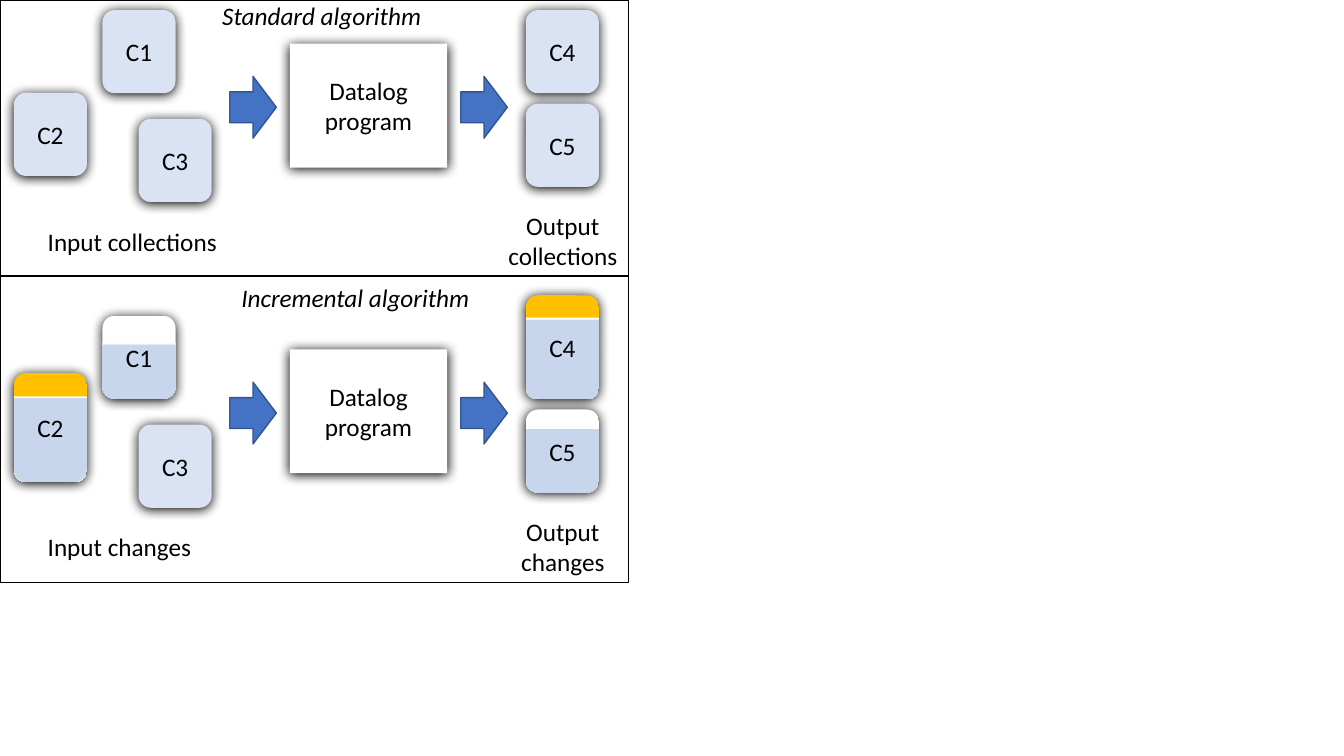
from dataclasses import dataclass

from lxml.etree import SubElement
from pptx import Presentation
from pptx.dml.color import RGBColor
from pptx.enum.shapes import MSO_CONNECTOR as Link, MSO_SHAPE as Kind
from pptx.enum.text import MSO_ANCHOR as Anchor, MSO_AUTO_SIZE as Fit, PP_ALIGN as Align
from pptx.oxml.ns import qn
from pptx.util import Inches, Pt


@dataclass(frozen=True)
class Theme:
    font: str = "Calibri"
    size: int = 18
    ink: str = "000000"
    paper: str = "FFFFFF"
    card: str = "DAE3F3"
    kept: str = "C7D5ED"
    added: str = "FFC000"
    arrow: str = "4472C4"
    edge: str = "325491"


@dataclass(frozen=True)
class Area:
    """Left, top, width and height in grid columns and rows."""
    x: float
    y: float
    w: float
    h: float


@dataclass(frozen=True)
class Card:
    name: str
    x: float
    y: float
    h: float = 9.9
    stops: tuple = ()


@dataclass(frozen=True)
class Note:
    text: str
    area: Area
    align: Align = Align.CENTER


@dataclass(frozen=True)
class Panel:
    top: float
    cards: tuple
    notes: tuple


LOOK = Theme()

# Slide and its grid of 160 columns by 90 rows
deck = Presentation()
deck.slide_width, deck.slide_height = Inches(13.33), Inches(7.5)
COL, ROW = deck.slide_width / 160, deck.slide_height / 90
slide = deck.slides.add_slide(deck.slide_layouts[5])
shapes = slide.shapes


def place(area: Area) -> tuple:
    return (round(area.x * COL), round(area.y * ROW),
            round(area.w * COL), round(area.h * ROW))


def write(shape, text: str, align=Align.CENTER, anchor=Anchor.MIDDLE,
          italic: bool = False) -> None:
    frame = shape.text_frame
    frame.text = text
    frame.vertical_anchor = anchor
    for para in frame.paragraphs:
        para.alignment = align
        for run in para.runs:
            font = run.font
            font.name, font.size, font.italic = LOOK.font, Pt(LOOK.size), italic
            font.color.rgb = RGBColor.from_string(LOOK.ink)


def label(shape, text: str, align=Align.CENTER, italic: bool = False) -> None:
    write(shape, text, align, Anchor.TOP, italic)
    shape.text_frame.word_wrap = False
    shape.text_frame.auto_size = Fit.SHAPE_TO_FIT_TEXT


def draw(kind, area: Area, fill: str = "", line: str = ""):
    shape = shapes.add_shape(kind, *place(area))
    shape.shadow.inherit = False
    if fill:
        shape.fill.solid()
        shape.fill.fore_color.rgb = RGBColor.from_string(fill)
    else:
        shape.fill.background()
    if line:
        shape.line.color.rgb = RGBColor.from_string(line)
        shape.line.width = Pt(1)
    else:
        shape.line.fill.background()
    return shape


def tint(node, color: str) -> None:
    SubElement(node, qn("a:srgbClr"), val=color)


def shade(shape) -> None:
    effects = shape._element.spPr.find(qn("a:effectLst"))
    glow = SubElement(effects, qn("a:outerShdw"), blurRad=str(Pt(8.5)),
                      dist=str(Pt(1)), dir="5400000", algn="ctr", rotWithShape="0")
    tint(glow, LOOK.ink)


def blend(shape, stops: tuple) -> None:
    shape.fill.gradient()
    shape.fill.gradient_angle = 270
    ramp = next(shape._element.spPr.iter(qn("a:gsLst")))
    for old in list(ramp):
        ramp.remove(old)
    for share, color in stops:
        tint(SubElement(ramp, qn("a:gs"), pos=str(share * 1000)), color)


def boxed(kind, area: Area, text: str, fill: str, stops: tuple = ()) -> None:
    shape = draw(kind, area, fill)
    if stops:
        blend(shape, stops)
    shade(shape)
    write(shape, text)


def build(panel: Panel) -> None:
    top = panel.top
    boxed(Kind.RECTANGLE, Area(34.5, top + 5.2, 18.75, 14.75),
          "Datalog program", LOOK.paper)
    for card in panel.cards:
        boxed(Kind.ROUNDED_RECTANGLE, Area(card.x, top + card.y, 8.7, card.h),
              card.name, LOOK.card, card.stops)
    for x in (27.35, 54.85):
        draw(Kind.RIGHT_ARROW, Area(x, top + 9.1, 5.55, 7.35), LOOK.arrow, LOOK.edge)
    for note in panel.notes:
        area = note.area
        box = shapes.add_textbox(*place(Area(area.x, top + area.y, area.w, area.h)))
        label(box, note.text, note.align)


# Fills that show what was removed or added
def bands(first: str, last: int) -> tuple:
    return ((21, first), (22, LOOK.paper), (23, LOOK.paper), (last, LOOK.kept))


CUT = ((33, LOOK.paper), (36, LOOK.kept))
C3 = Card("C3", 16.5, 14.15)

# The two panels
PANELS = (
    Panel(0,
          (Card("C1", 12.2, 1.2), C3, Card("C2", 1.65, 11.05),
           Card("C4", 62.6, 1.2), Card("C5", 62.6, 12.35)),
          (Note("Input collections", Area(4.5, 26.3, 22.8, 4.85), Align.LEFT),
           Note("Output\vcollections", Area(59.2, 24.45, 15.6, 8.5)))),
    Panel(36.4,
          (Card("C1", 12.2, 1.2, stops=CUT), C3,
           Card("C2", 1.65, 8, 13, bands(LOOK.added, 23)),
           Card("C4", 62.6, -1.25, 12.4, bands(LOOK.added, 24)),
           Card("C5", 62.6, 12.35, stops=bands(LOOK.paper, 24))),
          (Note("Input changes", Area(4.5, 26.3, 19.7, 4.85), Align.LEFT),
           Note("Output\vchanges", Area(60.75, 24.45, 12.5, 8.5)))),
)
for panel in PANELS:
    build(panel)

# Divider between the panels
WIDE, MID = 74.8, 32.9
rule = shapes.add_connector(Link.STRAIGHT, 0, round(MID * ROW),
                            round(WIDE * COL), round(MID * ROW))
rule.line.color.rgb = RGBColor.from_string(LOOK.ink)
rule.line.width = Pt(1.5)
SubElement(rule._element.spPr, qn("a:effectLst"))

# Panel titles
title = shapes.title
title.left, title.top, title.width, title.height = place(Area(25.2, -0.6, 26.2, 4.85))
label(title, "Standard algorithm", italic=True)
second = shapes.add_textbox(*place(Area(27.35, 33, 29.9, 4.85)))
label(second, "Incremental algorithm", italic=True)

# Outer frame
draw(Kind.RECTANGLE, Area(0, 0, WIDE, 69.35), line=LOOK.ink)

deck.save("out.pptx")
